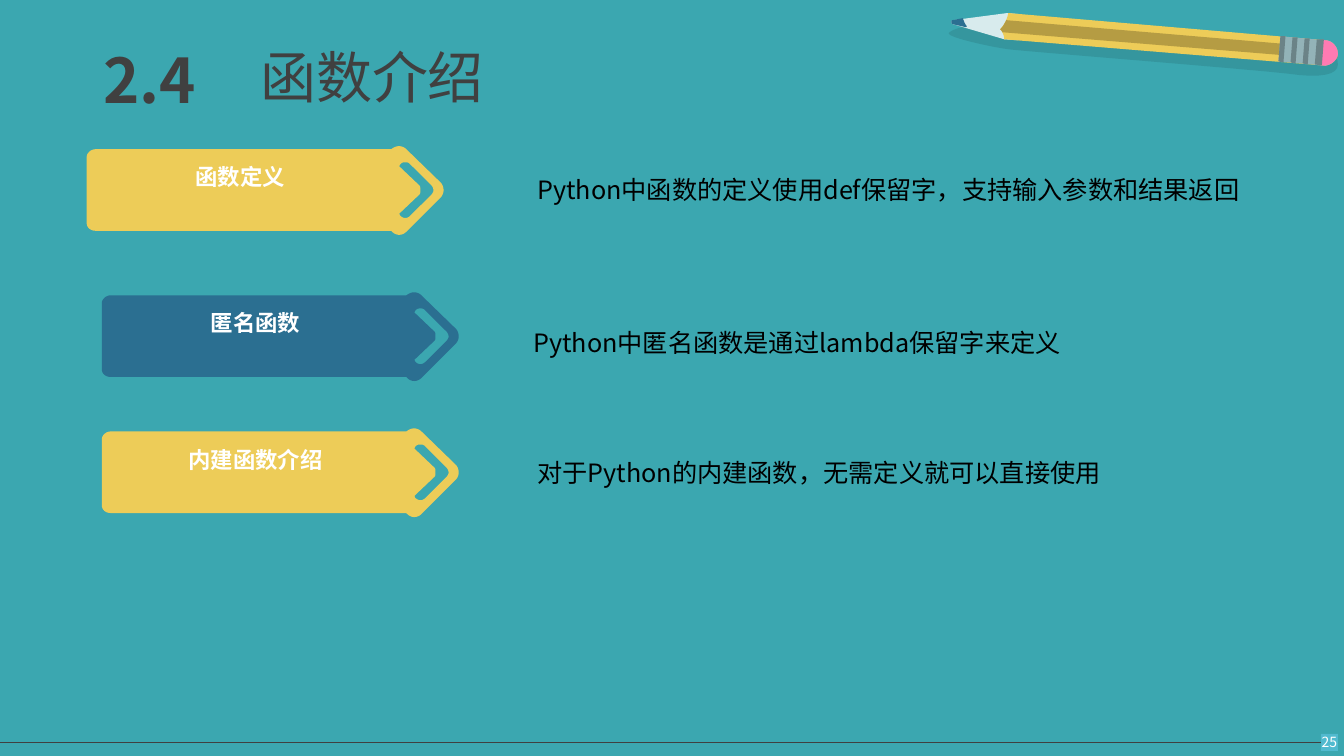
import dataclasses

import lxml.etree
import pptx
import pptx.dml.color
import pptx.enum.shapes
import pptx.enum.text
import pptx.oxml.ns
import pptx.util

Inches = pptx.util.Inches
ALIGN = pptx.enum.text.PP_ALIGN


@dataclasses.dataclass(frozen=True)
class Theme:
    """Colours, fonts and type sizes of the slide."""
    background: str = "3BA7B0"
    ink: str = "404040"
    black: str = "000000"
    white: str = "FFFFFF"
    yellow: str = "EDCC58"
    blue: str = "2B6F91"
    page_box: str = "51BACF"
    pencil_shadow: str = "35969E"
    wood: str = "D8EBED"
    pencil_stripe: str = "B59C43"
    ferrule: str = "93B3B8"
    ferrule_band: str = "6B8387"
    eraser: str = "FF7AB2"
    font: str = "Noto Sans CJK SC"
    number_font: str = "Noto Sans CJK JP"
    title_size: int = 40
    number_size: int = 44
    banner_size: int = 16
    body_size: int = 18
    page_size: int = 10


BANNER_BODY = [
    (3.1, 0), (3.12, 0, 3.15, 0.01, 3.17, 0.03), (3.51, 0.36),
    (3.53, 0.38, 3.54, 0.41, 3.54, 0.44), (3.54, 0.46, 3.53, 0.49, 3.51, 0.51),
    (3.17, 0.85), (3.13, 0.89, 3.07, 0.89, 3.03, 0.85), (3.02, 0.84),
    (0.09, 0.84), (0.04, 0.84, 0, 0.81, 0, 0.76), (0, 0.11),
    (0, 0.07, 0.04, 0.03, 0.09, 0.03), (3.02, 0.03), (3.05, 0.01, 3.07, 0, 3.1, 0),
]
BANNER_CHEVRON = [
    (3.16, 0.16), (3.14, 0.16, 3.13, 0.16, 3.11, 0.18), (3.1, 0.2), (3.3, 0.39),
    (3.31, 0.4, 3.31, 0.42, 3.31, 0.44), (3.31, 0.45, 3.31, 0.47, 3.3, 0.48),
    (3.1, 0.67), (3.11, 0.69), (3.14, 0.72, 3.18, 0.72, 3.21, 0.69), (3.42, 0.48),
    (3.43, 0.47, 3.44, 0.45, 3.44, 0.44), (3.44, 0.42, 3.43, 0.4, 3.42, 0.39),
    (3.21, 0.18), (3.19, 0.16, 3.18, 0.16, 3.16, 0.16),
]
PENCIL_SHADOW = [
    (9.64, 0.25), (9.64, 0.25, 9.44, 0.28, 9.41, 0.33),
    (9.39, 0.37, 9.85, 0.47, 10.01, 0.49), (10.18, 0.51, 12.43, 0.69, 12.77, 0.73),
    (13.11, 0.78, 13.27, 0.74, 13.27, 0.64), (13.27, 0.54, 13.2, 0.51, 13.05, 0.49),
    (12.9, 0.47, 10.07, 0.2, 10.06, 0.2), (10.05, 0.21, 9.85, 0.17, 9.64, 0.25),
]
PENCIL_END = [
    (13.12, 0.65), (13.19, 0.66, 13.26, 0.6, 13.27, 0.54),
    (13.27, 0.46, 13.21, 0.4, 13.14, 0.4),
]
PENCIL_WOOD = [(9.99, 0.13), (10.1, 0.14), (10.1, 0.4), (9.96, 0.39), (9.45, 0.24),
               (9.43, 0.23, 9.43, 0.2, 9.46, 0.2)]
PENCIL_BARREL = [(9.96, 0.39), *PENCIL_END, (10, 0.13),
                 (9.99, 0.19, 9.96, 0.25, 9.92, 0.29), (9.94, 0.31, 9.96, 0.35, 9.96, 0.39)]
PENCIL_STRIPE = [(13.27, 0.54), (13.27, 0.51, 13.26, 0.49, 13.26, 0.48), (9.98, 0.2),
                 (9.96, 0.24, 9.95, 0.26, 9.92, 0.29), (9.93, 0.3, 9.94, 0.31, 9.94, 0.32),
                 (13.25, 0.59), (13.26, 0.58, 13.27, 0.56, 13.27, 0.54)]
PENCIL_LEAD = [(9.45, 0.24), (9.58, 0.27), (9.59, 0.26), (9.57, 0.24, 9.56, 0.21, 9.55, 0.18),
               (9.45, 0.2), (9.43, 0.2, 9.43, 0.23, 9.45, 0.24)]
PENCIL_FERRULE = [(12.68, 0.61), *PENCIL_END, (12.7, 0.36)]
PENCIL_ERASER = [(13.1, 0.65), *PENCIL_END, (13.12, 0.39)]


def flatten(contour, left=0, top=0, steps=8):
    """Turn line and cubic segments into points in slide units."""
    points = [contour[0]]
    for segment in contour[1:]:
        if len(segment) == 2:
            points.append(segment)
            continue
        x0, y0 = points[-1]
        x1, y1, x2, y2, x3, y3 = segment
        for step in range(1, steps + 1):
            t = step / steps
            a, b, c, d = (1 - t) ** 3, 3 * t * (1 - t) ** 2, 3 * t * t * (1 - t), t ** 3
            points.append((a * x0 + b * x1 + c * x2 + d * x3,
                           a * y0 + b * y1 + c * y2 + d * y3))
    return [(Inches(left + x), Inches(top + y)) for x, y in points]


class SlideBuilder:
    """Draws styled elements on the current slide."""

    def __init__(self, slide, theme):
        """Keep the slide and theme and paint the background."""
        self.slide, self.theme = slide, theme
        self.paint(slide.background, theme.background)

    def paint(self, target, color):
        """Fill a target with one colour."""
        target.fill.solid()
        target.fill.fore_color.rgb = pptx.dml.color.RGBColor.from_string(color)

    def set_text(self, shape, text, size, color, align=ALIGN.CENTER, bold=False, font=None,
                 wrap=True):
        """Put formatted text in a shape."""
        frame = shape.text_frame
        frame.text = text
        frame.word_wrap = wrap
        frame.auto_size = pptx.enum.text.MSO_AUTO_SIZE.NONE
        frame.vertical_anchor = pptx.enum.text.MSO_ANCHOR.MIDDLE
        paragraph = frame.paragraphs[0]
        paragraph.alignment = align
        for run in paragraph.runs:
            run.font.size, run.font.bold = pptx.util.Pt(size), bold
            run.font.name = font or self.theme.font
            run.font.color.rgb = pptx.dml.color.RGBColor.from_string(color)
            east_asian = lxml.etree.SubElement(run.font._element, pptx.oxml.ns.qn("a:ea"))
            east_asian.set("typeface", run.font.name)

    def title(self, text, left, top, width, height):
        """Place the title in its placeholder."""
        title = self.slide.shapes.title
        title.left, title.top = Inches(left), Inches(top)
        title.width, title.height = Inches(width), Inches(height)
        self.set_text(title, text, self.theme.title_size, self.theme.ink, wrap=False)

    def label(self, text, left, top, width, height, size, color, **style):
        """Add a text box."""
        box = self.slide.shapes.add_textbox(
            Inches(left), Inches(top), Inches(width), Inches(height))
        self.set_text(box, text, size, color, **style)

    def outline(self, shapes, contours, color, left=0, top=0):
        """Add a filled freeform made of closed contours."""
        first, *others = [flatten(contour, left, top) for contour in contours]
        builder = shapes.build_freeform(*first[0], scale=1.0)
        builder.add_line_segments(first[1:], close=True)
        for points in others:
            builder.move_to(*points[0])
            builder.add_line_segments(points[1:], close=True)
        outline = builder.convert_to_shape()
        outline.shadow.inherit = False
        self.paint(outline, color)
        outline.line.fill.background()
        return outline

    def banner(self, text, left, top, color):
        """Add an arrow banner with its heading."""
        banner = self.outline(
            self.slide.shapes, [BANNER_CHEVRON, BANNER_BODY], color, left, top)
        self.set_text(banner, text, self.theme.banner_size, self.theme.white, bold=True)
        banner.text_frame.margin_right = Inches(0.59)
        banner.text_frame.margin_bottom = Inches(0.32)

    def pencil(self):
        """Add the grouped pencil drawing."""
        theme = self.theme
        parts = [
            (PENCIL_SHADOW, theme.pencil_shadow), (PENCIL_WOOD, theme.wood),
            (PENCIL_BARREL, theme.yellow), (PENCIL_STRIPE, theme.pencil_stripe),
            (PENCIL_FERRULE, theme.ferrule), (PENCIL_LEAD, theme.blue),
            (PENCIL_ERASER, theme.eraser),
        ]
        for band, width in enumerate((0.05, 0.05, 0.05, 0.07)):
            x, y = 12.7 + 0.12 * band, 0.36 + 0.01 * band
            corners = [(x, y), (x + width, y), (x + width - 0.02, y + 0.26), (x - 0.02, y + 0.25)]
            parts.append((corners, theme.ferrule_band))
        pencil = self.slide.shapes.add_group_shape()
        for contour, color in parts:
            self.outline(pencil.shapes, [contour], color)

    def footer(self, page):
        """Add the page number and the rule leading to it."""
        box = self.slide.shapes.add_shape(
            pptx.enum.shapes.MSO_SHAPE.RECTANGLE,
            Inches(13.1), Inches(7.28), Inches(0.17), Inches(0.17))
        box.shadow.inherit = False
        self.paint(box, self.theme.page_box)
        box.line.fill.background()
        self.set_text(box, page, self.theme.page_size, self.theme.white, wrap=False)
        frame = box.text_frame
        frame.margin_left = frame.margin_right = frame.margin_top = frame.margin_bottom = 0
        rule = self.slide.shapes.add_connector(
            pptx.enum.shapes.MSO_CONNECTOR.STRAIGHT,
            0, Inches(7.37), Inches(13.1), Inches(7.37))
        rule.end_connect(box, 1)
        rule.begin_y = rule.end_y
        rule.line.width = pptx.util.Pt(0.5)
        rule.line.color.rgb = pptx.dml.color.RGBColor.from_string(self.theme.ink)
        lxml.etree.SubElement(rule._element.spPr, pptx.oxml.ns.qn("a:effectLst"))


def main():
    """Build and save the slide."""
    deck = pptx.Presentation()
    deck.slide_width, deck.slide_height = Inches(13.33), Inches(7.5)
    theme = Theme()
    builder = SlideBuilder(deck.slides.add_slide(deck.slide_layouts[5]), theme)
    builder.footer("25")
    builder.title("函数介绍", 2.48, 0.37, 2.42, 0.77)
    builder.label("2.4", 0.44, 0.36, 2.09, 0.84, theme.number_size, theme.ink,
                  bold=True, font=theme.number_font)
    builder.pencil()
    topics = [
        ("函数定义", 0.86, 1.45, theme.yellow,
         "Python中函数的定义使用def保留字，支持输入参数和结果返回", 5.23, 1.68),
        ("匿名函数", 1.01, 2.9, theme.blue,
         "Python中匿名函数是通过lambda保留字来定义", 5.19, 3.2),
        ("内建函数介绍", 1.01, 4.25, theme.yellow,
         "对于Python的内建函数，无需定义就可以直接使用", 5.23, 4.49),
    ]
    for heading, left, top, color, description, text_left, text_top in topics:
        builder.banner(heading, left, top, color)
        builder.label(description, text_left, text_top, 7.8, 0.4, theme.body_size,
                      theme.black, align=ALIGN.LEFT)
    deck.save("out.pptx")


if __name__ == "__main__":
    main()
